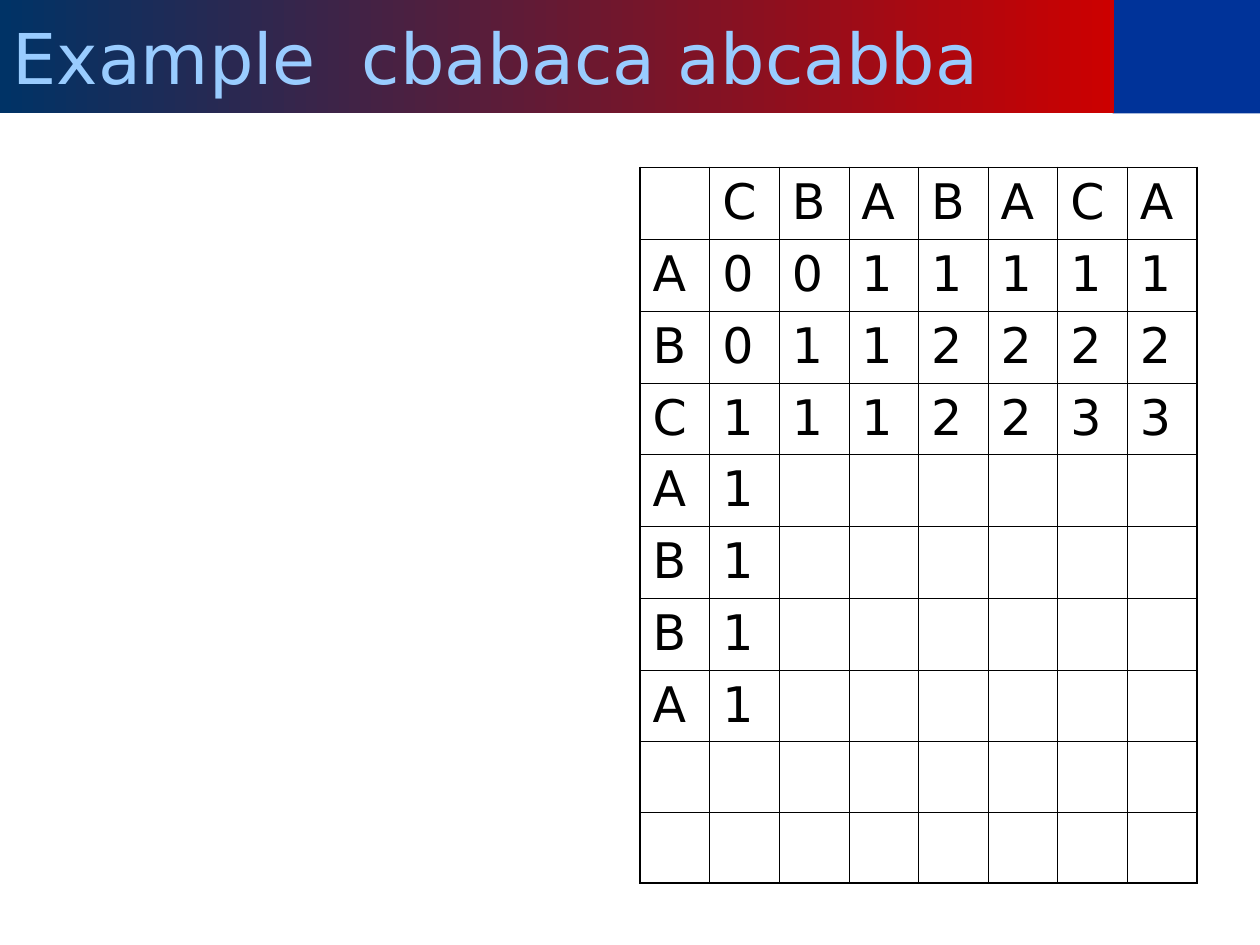
from lxml import etree
from pptx import Presentation, util as u
from pptx.dml.color import RGBColor
from pptx.enum import shapes, text
from pptx.oxml import parse_xml
from pptx.oxml.ns import nsdecls

COLUMNS, ROWS = "CBABACA", "ABCABBA"
SCORES = ["0011111", "0112222", "1112233", "1", "1", "1", "1"]
SPARE_ROWS = 2


def colour(hex_string):
    return RGBColor.from_string(hex_string)


class SlideBuilder:
    font = "DejaVu Sans"
    ink = "000000"
    thin, thick = 0.45, 1.08

    def __init__(self, presentation):
        self.width = presentation.slide_width
        self.height = presentation.slide_height
        self.slide = presentation.slides.add_slide(presentation.slide_layouts[5])

    def box(self, left, top, width, height):
        """Turn shares of the slide's size into lengths."""
        return [u.Emu(round(share * side)) for share, side in
                zip((left, top, width, height), (self.width, self.height) * 2)]

    def style(self, paragraph, size, hex_string):
        paragraph.font.name = self.font
        paragraph.font.size = u.Pt(size)
        paragraph.font.color.rgb = colour(hex_string)

    def title(self, words, tab, size, hex_string, start, end, *place):
        shape = self.slide.shapes.title
        shape.left, shape.top, shape.width, shape.height = self.box(*place)
        shape.fill.gradient()
        shape.fill.gradient_angle = 180
        for stop, stop_colour in zip(shape.fill.gradient_stops, (start, end)):
            stop.color.rgb = colour(stop_colour)
        frame = shape.text_frame
        frame.auto_size = text.MSO_AUTO_SIZE.NONE
        frame.vertical_anchor = text.MSO_ANCHOR.MIDDLE
        paragraph = frame.paragraphs[0]
        paragraph.add_run().text = words
        paragraph.alignment = text.PP_ALIGN.LEFT
        properties = paragraph._p.get_or_add_pPr()
        properties.append(parse_xml(
            f'<a:tabLst {nsdecls("a")}><a:tab pos="{u.Inches(tab)}" algn="l"/></a:tabLst>'))
        self.style(paragraph, size, hex_string)

    def back_rectangle(self, hex_string, *place):
        shape = self.slide.shapes.add_shape(shapes.MSO_SHAPE.RECTANGLE, *self.box(*place))
        shape.shadow.inherit = False
        shape.fill.solid()
        shape.fill.fore_color.rgb = colour(hex_string)
        shape.line.fill.background()
        self.slide.shapes._spTree.insert(2, shape._element)

    def borders(self, cell, outer):
        """Draw the four sides, thick where a side is on the table's edge."""
        properties = cell._tc.get_or_add_tcPr()
        for index, (side, is_outer) in enumerate(zip("LRTB", outer)):
            width = u.Pt(self.thick if is_outer else self.thin)
            properties.insert(index, parse_xml(
                f'<a:ln{side} {nsdecls("a")} w="{width}"><a:solidFill>'
                f'<a:srgbClr val="{self.ink}"/></a:solidFill></a:ln{side}>'))

    def table(self, values, row_heights, size, *place):
        last_row, last_column = len(values) - 1, len(values[0]) - 1
        table = self.slide.shapes.add_table(
            last_row + 1, last_column + 1, *self.box(*place)).table
        table.first_row = table.horz_banding = False
        for row, height in zip(table.rows, row_heights):
            row.height = u.Inches(height)
        for r, row_values in enumerate(values):
            for c, value in enumerate(row_values):
                cell = table.cell(r, c)
                cell.fill.background()
                cell.margin_top = u.Inches(0.06)
                self.borders(cell, (c == 0, c == last_column, r == 0, r == last_row))
                paragraph = cell.text_frame.paragraphs[0]
                if value.strip():
                    paragraph.add_run().text = value
                    paragraph.line_spacing = 0.98
                    self.style(paragraph, size, self.ink)


def main():
    presentation = Presentation()
    presentation.slide_width, presentation.slide_height = u.Inches(10), u.Inches(7.5)
    builder = SlideBuilder(presentation)

    # Title band with the corner block behind it
    builder.title("Example\tcbabaca abcabba", 2.77, 40, "99CCFF",
                  "CC0000", "003366", 0, 0, 0.884, 0.12)
    builder.back_rectangle("003399", 0.883, 0, 0.117, 0.12)

    # Common subsequence lengths, with the unfilled cells left empty
    width = len(COLUMNS)
    values = [["", *COLUMNS]]
    values += [[letter] + [*scores] + [""] * (width - len(scores))
               for letter, scores in zip(ROWS, SCORES)]
    values += [[""] * (width + 1) for _ in range(SPARE_ROWS)]
    heights = [0.57] * (len(ROWS) + 1) + [0.56] * SPARE_ROWS
    builder.table(values, heights, 28, 0.508, 1.33 / 7.5, 0.442, sum(heights) / 7.5)

    presentation.save("out.pptx")


if __name__ == "__main__":
    main()
